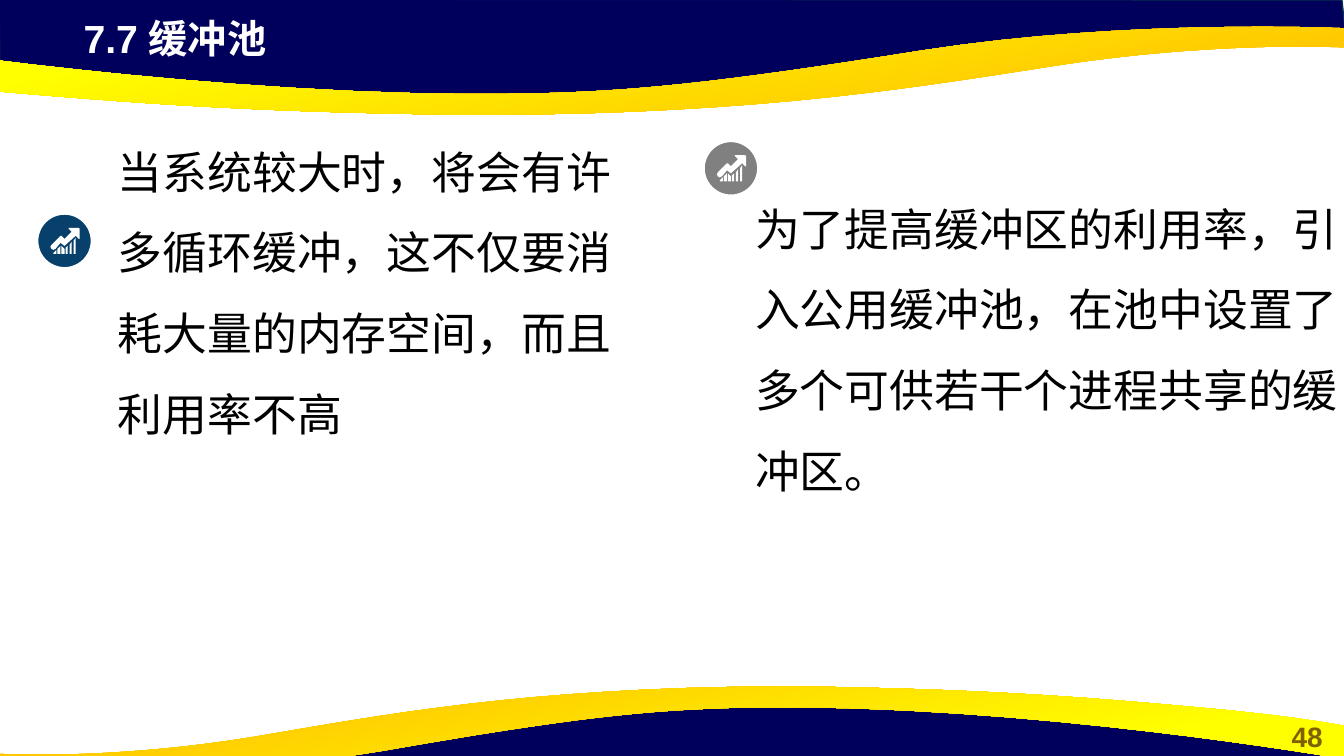
from dataclasses import dataclass

from pptx import Presentation, util as u
from pptx.dml.color import RGBColor
from pptx.enum import shapes, text

WIDE, HIGH = 13.33, 7.5

TITLE = ("7.7 缓冲池", (0.73, 0.09, 7.68, 0.57))
NUMBER = ("48", (12.6, 7.09, 0.73, 0.44))
POINTS = [
    ("当系统较大时，将会有许多循环缓冲，这不仅要消耗大量的内存空间，而且利用率不高",
     (1.07, 2.17, 5.46, 1.19), (0.37, 2.12), "07416B"),
    ("为了提高缓冲区的利用率，引入公用缓冲池，在池中设置了多个可供若干个进程共享的缓冲区。",
     (7.39, 2.69, 6.19, 1.28), (6.98, 1.4), "808080"),
]

# Navy header outline
HEADER = [(-0.01, -0.01), (0, 0.7), (2.93, 1.02), (5.59, 1), (7.95, 0.88),
          (10.16, 0.5), (12.38, 0.33), (13.35, 0.38), (13.31, 0)]
# Gold band: a start, then line ends (one point) or cubic curves (three)
BAND = [
    [(4.83, 1.14)],
    [(4.43, 1.14), (4.01, 1.13), (3.56, 1.12)],
    [(2.06, 1.08), (1.1, 1), (0.36, 0.94)],
    [(-0.88, 0.84), (-1.3, 0.75), (-1.33, 0.75)],
    [(-1.33, 0.42)],
    [(-1.33, 0.42), (2.18, 0.98), (5.17, 0.93)],
    [(6.26, 0.91), (7.08, 0.83), (9.15, 0.5)],
    [(11.21, 0.18), (13.33, 0.28), (13.33, 0.28)],
    [(13.33, 0.47)], [(13.3, 0.47)],
    [(13.05, 0.46), (11.95, 0.43), (10.55, 0.64)],
    [(9.18, 0.85), (7.62, 1.13), (4.83, 1.14)],
]

# Icon parts, measured from the disc's corner
DISC, BASE = 0.54, 0.4
BARS = [  # left, right, top left, top right
    (0.16, 0.19, 0.39, 0.36), (0.2, 0.23, 0.35, 0.32),
    (0.24, 0.27, 0.32, 0.35), (0.28, 0.3, 0.34, 0.32),
    (0.32, 0.34, 0.31, 0.28), (0.36, 0.38, 0.27, 0.24),
]
ARROW = [(0.31, 0.14), (0.41, 0.14), (0.42, 0.15), (0.42, 0.25), (0.41, 0.25),
         (0.38, 0.22), (0.27, 0.32), (0.23, 0.29), (0.18, 0.35), (0.16, 0.36),
         (0.14, 0.35), (0.13, 0.33), (0.14, 0.31), (0.23, 0.22), (0.24, 0.22),
         (0.27, 0.25), (0.34, 0.18), (0.31, 0.15)]


@dataclass(frozen=True)
class Theme:
    font: str = "Arial"
    navy: str = "00005C"
    edge: str = "05304F"
    gold: tuple = ((0.11, "FFC000"), (0.78, "FFFF00"))
    white: str = "FFFFFF"
    black: str = "000000"
    brown: str = "806000"
    title: int = 28
    body: int = 32
    number: int = 20


THEME = Theme()


def rgb(code):
    return RGBColor.from_string(code)


def trace(path, steps=16):
    """Turn lines and cubic curves into a list of points."""
    pts = []
    for part in path:
        if len(part) == 1:
            pts += part
            continue
        ctrl = [pts[-1], *part]
        for i in range(1, steps + 1):
            t = i / steps
            mix = ((1 - t) ** 3, 3 * t * (1 - t) ** 2, 3 * t * t * (1 - t), t ** 3)
            pts.append(tuple(sum(m * c[k] for m, c in zip(mix, ctrl))
                             for k in (0, 1)))
    return pts


def outline(parent, *loops):
    """Draw closed loops of points, in inches, as one freeform."""
    loops = [[(u.Inches(x), u.Inches(y)) for x, y in loop] for loop in loops]
    pen = parent.build_freeform(*loops[0][0])
    for i, loop in enumerate(loops):
        if i:
            pen.move_to(*loop[0])
        pen.add_line_segments(loop[1:], close=True)
    shape = pen.convert_to_shape()
    shape.shadow.inherit = False
    return shape


def paint(shape, fill, line=None, width=1):
    shape.fill.solid()
    shape.fill.fore_color.rgb = rgb(fill)
    if line:
        shape.line.color.rgb = rgb(line)
        shape.line.width = u.Pt(width)
    else:
        shape.line.fill.background()


def gild(shape, angle):
    shape.fill.gradient()
    shape.fill.gradient_angle = angle
    for stop, (pos, code) in zip(shape.fill.gradient_stops, THEME.gold):
        stop.position = pos
        stop.color.rgb = rgb(code)
    shape.line.fill.background()


def write(slide, words, place, size, color, bold=False, align=None,
          anchor=text.MSO_ANCHOR.TOP, spacing=None):
    box = slide.shapes.add_textbox(*map(u.Inches, place))
    frame = box.text_frame
    frame.word_wrap = True
    frame.vertical_anchor = anchor
    para = frame.paragraphs[0]
    para.text = words
    para.alignment = align
    para.line_spacing = spacing
    font = para.font
    font.name, font.size, font.bold = THEME.font, u.Pt(size), bold
    font.color.rgb = rgb(color)


def waves(slide):
    """Draw the header and, turned half round, the footer."""
    band = trace(BAND)
    ratio = (WIDE + 0.01) / (WIDE + 1.33)
    foot = [(WIDE - 0.01 - x, 7.93 - y) for x, y in HEADER]
    low = [((WIDE - x) * ratio - 0.01, 7.95 - y) for x, y in band]
    for edge, gold, angle in ((HEADER, band, 100), (foot, low, 280)):
        paint(outline(slide.shapes, edge), THEME.navy, THEME.edge)
        gild(outline(slide.shapes, gold), angle)


def icon(slide, left, top, color):
    group = slide.shapes.add_group_shape().shapes
    disc = group.add_shape(shapes.MSO_SHAPE.OVAL,
                           *map(u.Inches, (left, top, DISC, DISC)))
    disc.shadow.inherit = False
    paint(disc, color, THEME.white, 1.5)
    bars = [[(a, BASE), (a, p), (b, q), (b, BASE)] for a, b, p, q in BARS]
    loops = [[(left + x, top + y) for x, y in loop] for loop in [*bars, ARROW]]
    paint(outline(group, *loops), THEME.white)


def main():
    deck = Presentation()
    deck.slide_width, deck.slide_height = u.Inches(WIDE), u.Inches(HIGH)
    slide = deck.slides.add_slide(deck.slide_layouts[6])
    waves(slide)
    write(slide, *NUMBER, THEME.number, THEME.brown, True, text.PP_ALIGN.CENTER)
    write(slide, *TITLE, THEME.title, THEME.white, True)
    for words, place, spot, color in POINTS:
        write(slide, words, place, THEME.body, THEME.black,
              anchor=text.MSO_ANCHOR.MIDDLE, spacing=1.5)
        icon(slide, *spot, color)
    deck.save("out.pptx")


if __name__ == "__main__":
    main()
